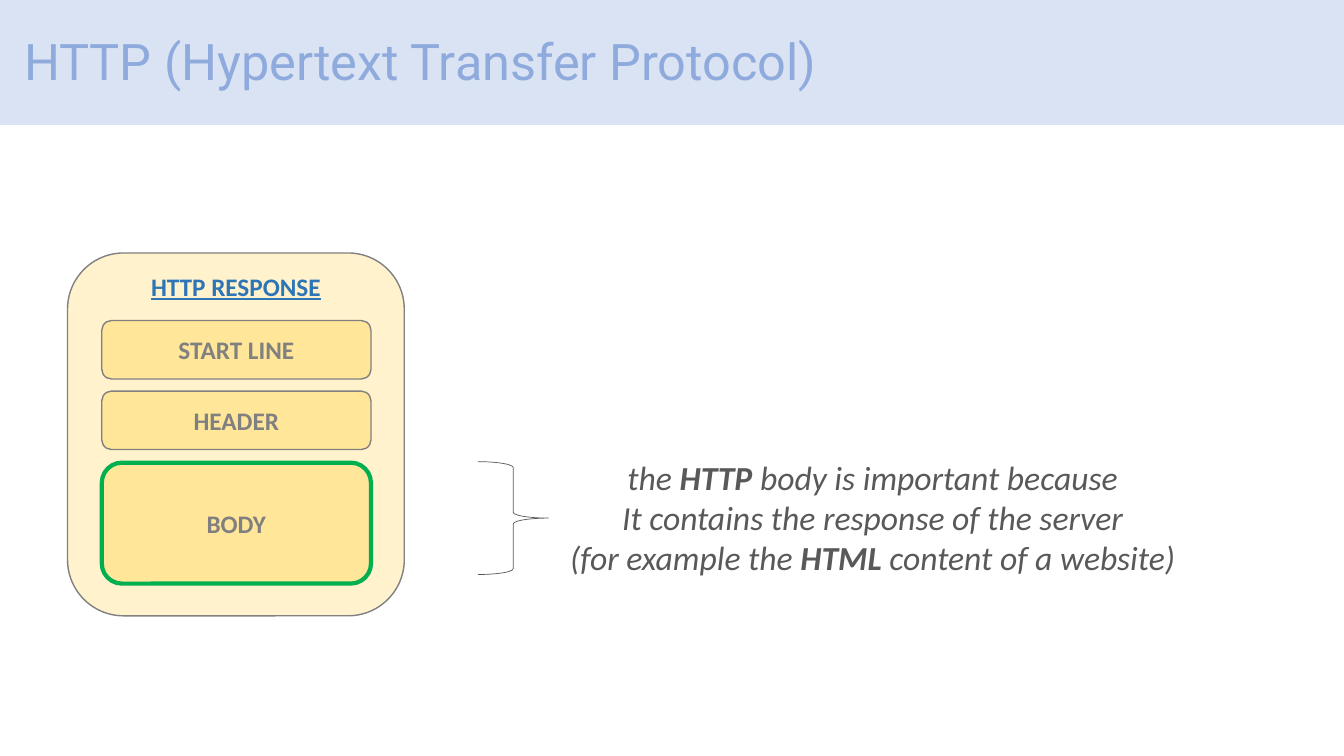
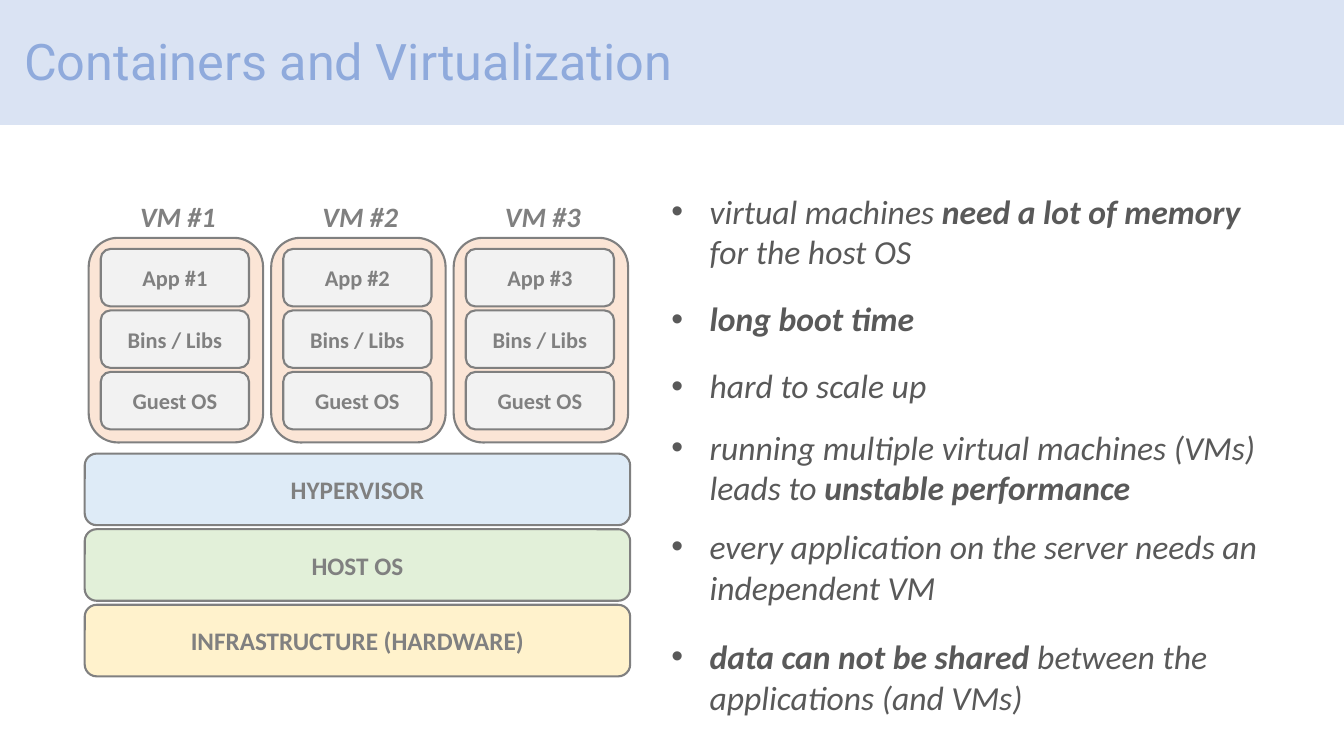
"""Build two lecture slides on the HTTP response and on virtualization."""
import pptx
import pptx.dml.color
import pptx.enum.shapes
import pptx.enum.text
import pptx.oxml
import pptx.oxml.ns
import pptx.util

Inches = pptx.util.Inches
Pt = pptx.util.Pt
RGBColor = pptx.dml.color.RGBColor
Shape = pptx.enum.shapes.MSO_SHAPE
Align = pptx.enum.text.PP_ALIGN
Anchor = pptx.enum.text.MSO_ANCHOR

WHITE = RGBColor(0xFF, 0xFF, 0xFF)
BAND_BLUE = RGBColor(0xDA, 0xE3, 0xF3)
TITLE_BLUE = RGBColor(0x8F, 0xAA, 0xDC)
HEADING_BLUE = RGBColor(0x2E, 0x75, 0xB6)
PALE_BLUE = RGBColor(0xDE, 0xEB, 0xF7)
PALE_GREEN = RGBColor(0xE2, 0xF0, 0xD9)
PALE_YELLOW = RGBColor(0xFF, 0xF2, 0xCC)
YELLOW = RGBColor(0xFF, 0xE6, 0x99)
PALE_ORANGE = RGBColor(0xFB, 0xE5, 0xD6)
PALE_GRAY = RGBColor(0xF2, 0xF2, 0xF2)
GRAY = RGBColor(0x80, 0x80, 0x80)
DARK_GRAY = RGBColor(0x59, 0x59, 0x59)
GREEN = RGBColor(0x00, 0xB0, 0x50)


def write(shape, text, size=18, color=GRAY, font="Calibri", bold=False, italic=False,
          underline=None, align=Align.CENTER, anchor=Anchor.MIDDLE, wrap=True,
          line_spacing=None, bullet=None, gaps=None):
    """Write one paragraph per line; text between double asterisks is bold."""
    frame = shape.text_frame
    frame.word_wrap = wrap
    frame.vertical_anchor = anchor
    for index, line in enumerate(text.split("\n")):
        paragraph = frame.add_paragraph() if index else frame.paragraphs[0]
        paragraph.alignment = align
        paragraph.line_spacing = line_spacing
        if gaps and index:
            paragraph.space_before = Pt(gaps[index - 1])
        if bullet:
            properties = paragraph._p.get_or_add_pPr()
            properties.set("marL", str(Inches(0.38)))
            properties.set("indent", str(Inches(-0.38)))
            for tag, name, value in (("a:buFont", "typeface", "Arial"), ("a:buChar", "char", bullet)):
                element = pptx.oxml.parse_xml(f"<{tag} {pptx.oxml.ns.nsdecls('a')}/>")
                element.set(name, value)
                properties.append(element)
        for part, words in enumerate(line.split("**")):
            if words:
                run = paragraph.add_run()
                run.text = words
                run.font.name = font
                run.font.size = Pt(size)
                run.font.color.rgb = color
                run.font.bold = bold or part % 2 == 1
                run.font.italic = italic
                run.font.underline = underline


def add_box(slide, left, top, width, height, fill=None, line=GRAY, weight=1.5,
            kind=Shape.ROUNDED_RECTANGLE):
    """Add a preset shape without shadow."""
    shape = slide.shapes.add_shape(kind, Inches(left), Inches(top), Inches(width), Inches(height))
    shape.shadow.inherit = False
    if fill is None:
        shape.fill.background()
    else:
        shape.fill.solid()
        shape.fill.fore_color.rgb = fill
    shape.line.color.rgb = line
    shape.line.width = Pt(weight)
    return shape


presentation = pptx.Presentation()
presentation.slide_width = Inches(13.33)
presentation.slide_height = Inches(7.5)
title_only = presentation.slide_layouts[5]

slides = []
for heading in ("HTTP (Hypertext Transfer Protocol)", "Containers and Virtualization"):
    slide = presentation.slides.add_slide(title_only)
    band = add_box(slide, -0.14, -0.04, 13.57, 1.29, BAND_BLUE, WHITE, 1, Shape.RECTANGLE)
    title = slide.shapes.title
    title.element.addprevious(band.element)
    title.left, title.top = Inches(0.14), Inches(-0.09)
    title.width, title.height = Inches(11.5), Inches(1.45)
    title.text_frame.auto_size = pptx.enum.text.MSO_AUTO_SIZE.NONE
    write(title, heading, size=36, color=TITLE_BLUE, font="Roboto", align=Align.LEFT, line_spacing=0.9)
    slides.append(slide)
http_slide, machines_slide = slides

add_box(http_slide, 0.67, 2.51, 3.34, 3.6, PALE_YELLOW, weight=1)
response_label = http_slide.shapes.add_textbox(Inches(1.39), Inches(2.64), Inches(1.9), Inches(0.4))
write(response_label, "HTTP RESPONSE", color=HEADING_BLUE, bold=True, underline=True,
      anchor=Anchor.TOP, wrap=False)

for name, top, height, line, weight in (
    ("START LINE", 3.18, 0.58, GRAY, 1),
    ("HEADER", 3.88, 0.58, GRAY, 1),
    ("BODY", 4.59, 1.2, GREEN, 3),
):
    write(add_box(http_slide, 1.01, top, 2.67, height, YELLOW, line, weight), name, bold=True)

add_box(http_slide, 4.74, 4.58, 0.7, 1.12, line=DARK_GRAY, weight=0.5, kind=Shape.RIGHT_BRACE)
explanation = http_slide.shapes.add_textbox(Inches(5.53), Inches(4.48), Inches(6.25), Inches(1.31))
write(explanation,
      "the **HTTP** body is important because\n"
      "It contains the response of the server\n"
      "(for example the **HTML** content of a website)",
      size=24, color=DARK_GRAY, italic=True, anchor=Anchor.TOP, wrap=False)

for row, (name, fill) in enumerate((
    ("HYPERVISOR", PALE_BLUE),
    ("HOST OS", PALE_GREEN),
    ("INFRASTRUCTURE (HARDWARE)", PALE_YELLOW),
)):
    write(add_box(machines_slide, 0.84, 4.5 + 0.75 * row, 5.41, 0.71, fill), name, bold=True)

for number in (1, 2, 3):
    left = 0.88 + 1.81 * (number - 1)
    add_box(machines_slide, left, 2.36, 1.73, 2.03, PALE_ORANGE)
    machine_label = machines_slide.shapes.add_textbox(
        Inches(left + 0.41), Inches(1.93), Inches(1.05), Inches(0.44))
    write(machine_label, f"VM #{number}", size=20, bold=True, italic=True,
          align=Align.LEFT, anchor=Anchor.TOP)
    for row, name in enumerate((f"App #{number}", "Bins / Libs", "Guest OS")):
        layer = add_box(machines_slide, left + 0.12, 2.47 + 0.61 * row, 1.47, 0.57, PALE_GRAY)
        write(layer, name, size=16, bold=True)

drawbacks = machines_slide.shapes.add_textbox(Inches(6.56), Inches(1.84), Inches(6.19), Inches(5.33))
write(drawbacks,
      "virtual machines **need a lot of memory **for the host OS\n"
      "**long boot time**\n"
      "hard to scale up\n"
      "running multiple virtual machines (VMs) leads to **unstable performance**\n"
      "every application on the server needs an independent VM\n"
      "**data can not be shared **between the applications (and VMs)",
      size=24, color=DARK_GRAY, italic=True, align=Align.LEFT, anchor=Anchor.TOP,
      bullet="•", gaps=(19.5, 19, 15, 13.5, 21))

presentation.save("out.pptx")
